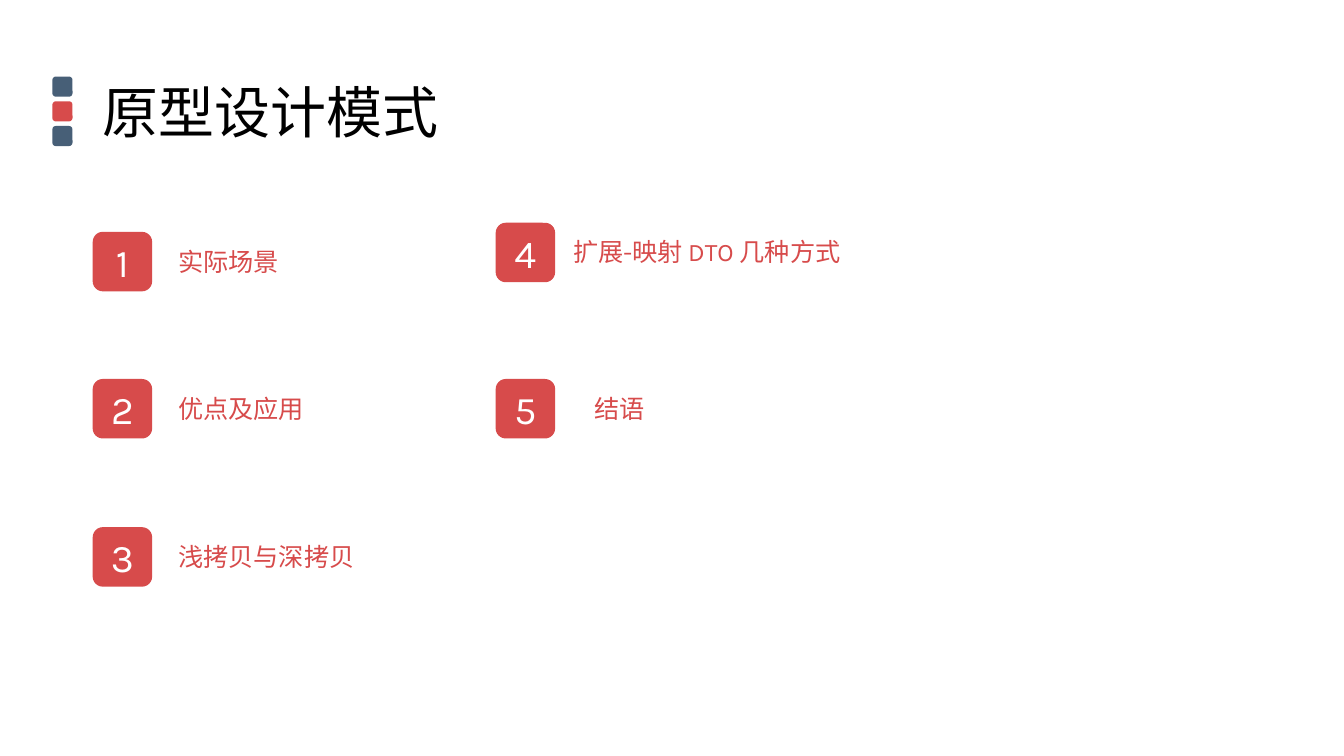
import pptx
import pptx.dml.color
import pptx.enum.shapes
import pptx.enum.text
import pptx.util

Inches = pptx.util.Inches
RGBColor = pptx.dml.color.RGBColor
Align = pptx.enum.text.PP_ALIGN
Anchor = pptx.enum.text.MSO_ANCHOR
Fit = pptx.enum.text.MSO_AUTO_SIZE

RED = RGBColor(0xD7, 0x4B, 0x4B)
SLATE = RGBColor(0x47, 0x5F, 0x77)
WHITE = RGBColor(0xFF, 0xFF, 0xFF)
BLACK = RGBColor(0x00, 0x00, 0x00)

BADGE = 0.59
# number, badge left, badge top, label left, label width, label
TOPICS = [
    ("1", 0.92, 2.3, 1.67, 1.2, "实际场景"),
    ("2", 0.92, 3.76, 1.67, 1.45, "优点及应用"),
    ("3", 0.92, 5.23, 1.67, 1.95, "浅拷贝与深拷贝"),
    ("4", 4.92, 2.21, 5.59, 3.16, "扩展-映射 DTO 几种方式"),
    ("5", 4.92, 3.76, 5.8, 0.7, "结语"),
]


class Deck:
    font = "Karla"

    def __init__(self):
        self.prs = pptx.Presentation()
        self.prs.slide_width = Inches(13.34)
        self.prs.slide_height = Inches(7.5)
        self.slide = self.prs.slides.add_slide(self.prs.slide_layouts[6])

    def put_text(self, frame, text, size, color, align=Align.LEFT):
        para = frame.paragraphs[0]
        para.text = text
        para.alignment = align
        para.font.name = self.font
        para.font.size = pptx.util.Pt(size)
        para.font.color.rgb = color
        return para

    def tile(self, x, y, side, color):
        """Add a filled square with rounded corners."""
        shape = self.slide.shapes.add_shape(
            pptx.enum.shapes.MSO_SHAPE.ROUNDED_RECTANGLE,
            Inches(x), Inches(y), Inches(side), Inches(side))
        shape.adjustments[0] = 0.17
        shape.shadow.inherit = False
        shape.fill.solid()
        shape.fill.fore_color.rgb = color
        shape.line.fill.background()
        return shape

    def badge(self, x, y, text):
        frame = self.tile(x, y, BADGE, RED).text_frame
        frame.vertical_anchor = Anchor.MIDDLE
        self.put_text(frame, text, 28, WHITE, Align.CENTER)

    def box(self, x, y, width, height):
        return self.slide.shapes.add_textbox(
            Inches(x), Inches(y), Inches(width), Inches(height)).text_frame

    def label(self, x, y, width, text):
        frame = self.box(x, y, width, 0.4)
        frame.word_wrap = False
        frame.auto_size = Fit.SHAPE_TO_FIT_TEXT
        self.put_text(frame, text, 18, RED)

    def title(self, text):
        frame = self.box(0.92, 0.55, 11.5, 1.18)
        frame.word_wrap = True
        frame.vertical_anchor = Anchor.MIDDLE
        self.put_text(frame, text, 40, BLACK).line_spacing = 0.9


def main():
    deck = Deck()
    for row, color in enumerate((SLATE, RED, SLATE)):
        deck.tile(0.52, 0.76 + row * 0.49 / 2, 0.2, color)
    deck.title("原型设计模式")
    for number, left, top, start, width, text in TOPICS:
        deck.badge(left, top, number)
        deck.label(start, top + 0.09, width, text)
    deck.prs.save("out.pptx")


if __name__ == "__main__":
    main()
